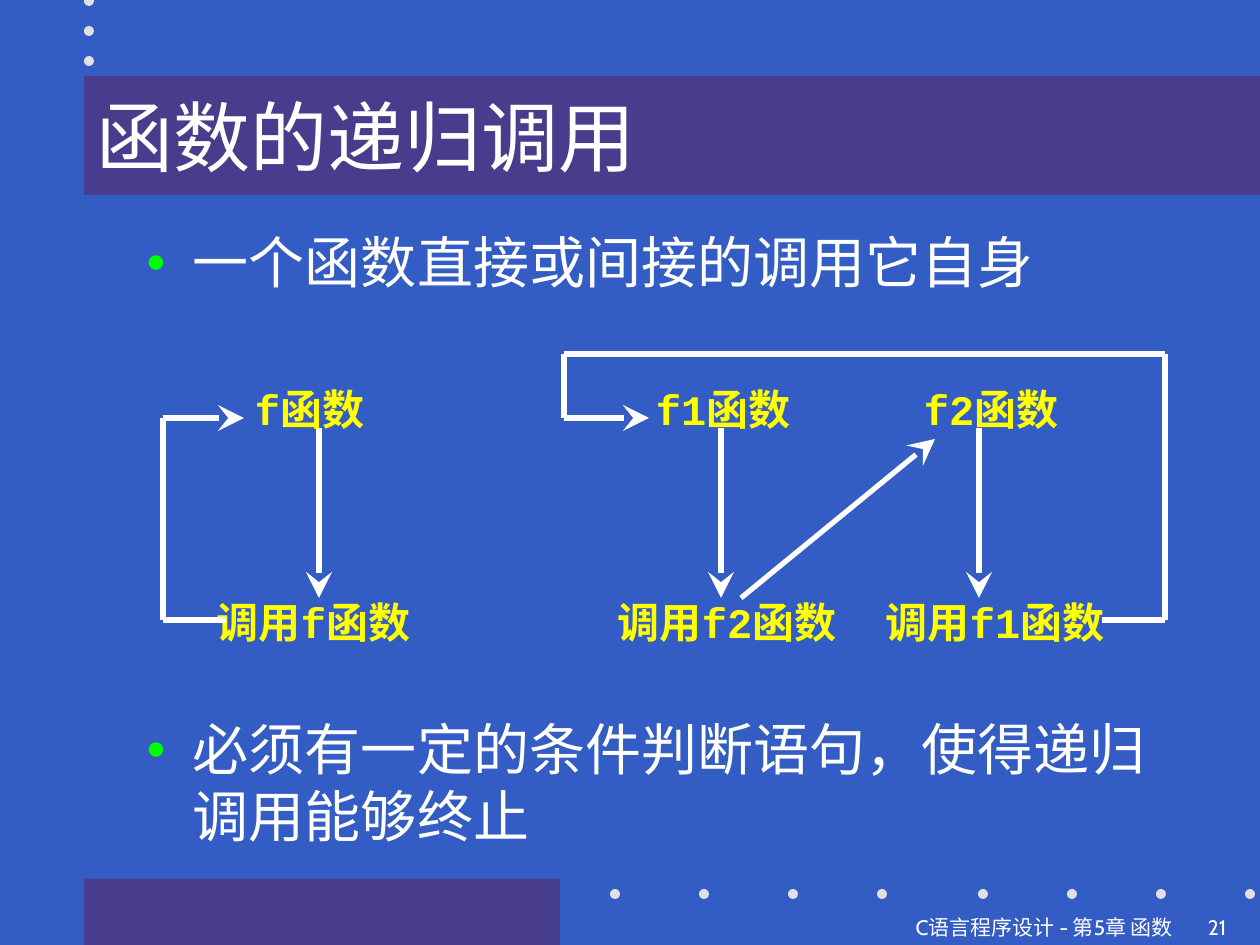
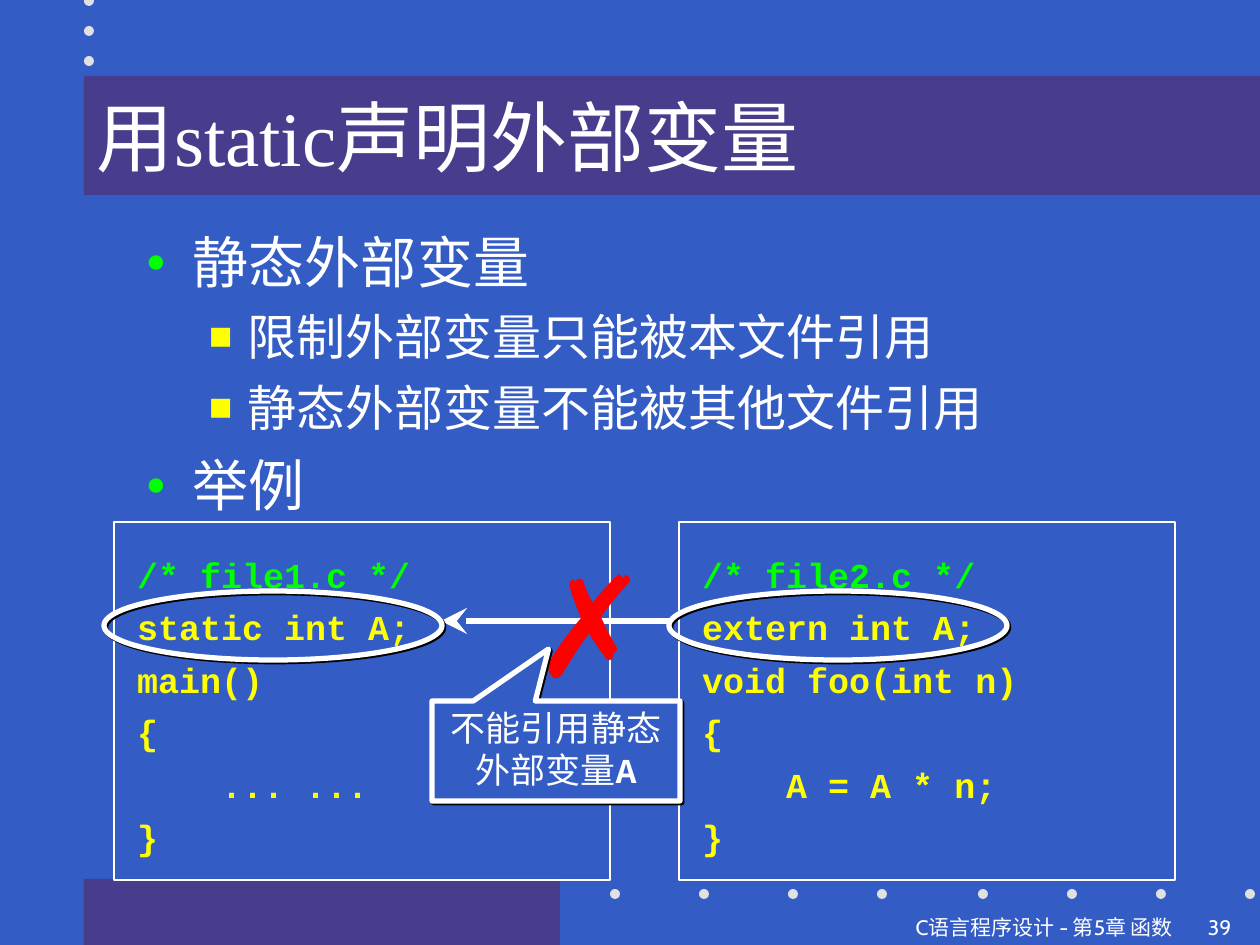
from dataclasses import dataclass
from itertools import pairwise

from lxml.etree import SubElement
from pptx import Presentation
from pptx.dml.color import RGBColor
from pptx.enum.shapes import MSO_CONNECTOR as Link, MSO_SHAPE as Form
from pptx.enum.text import MSO_ANCHOR as Anchor, PP_ALIGN as Align
from pptx.oxml.ns import qn
from pptx.util import Emu, Pt


@dataclass(frozen=True)
class Theme:
    back: str = "335CC5"
    band: str = "473D8C"
    dot: str = "E1E1E1"
    white: str = "FFFFFF"
    yellow: str = "FFFF00"
    green: str = "00FF00"
    red: str = "FF0000"
    black: str = "000000"
    serif: str = "Times New Roman"
    mono: str = "Courier New"
    sans: str = "Arial"
    small: str = "Cabin"
    title: int = 44
    label: int = 24
    code: int = 20
    footer: int = 12
    cross: int = 80
    stroke: float = 3
    frame: float = 1.5


theme = Theme()
EMU_PER_PX = 914400 / 126

# Shared content
FOOTER = "C语言程序设计 - 第5章 函数"
TITLE_BAND = (84, 76, 1176, 119)
FOOT_BAND = (84, 879, 476, 66)
DOT_SIZE = 10
DOTS = [(84, -4 + 30 * i) for i in range(3)]
DOTS += [(start + 89 * i, 889) for start in (610, 978) for i in range(4)]
BODY = (133, 221, 1063, 659)

# Bullet levels: size, space before, margin, hang, mark, mark colour, mark percent
LEVELS = [
    (32, 8, 47, 47, "●", theme.green, 60),
    (28, 7, 102, 39, "■", theme.yellow, 80),
]

# Recursion slide: bullets are (level, text, space before or None)
RECURSION_TITLE, RECURSION_PAGE = "函数的递归调用", "21"
RECURSION_BULLETS = [
    (0, "一个函数直接或间接的调用它自身", None),
    (0, "必须有一定的条件判断语句，使得递归调用能够终止", 240),
]
LABEL_HEIGHT, DEFINED_TOP, CALLED_TOP = 63, 378, 591
DEFINED_WIDTH, CALLED_WIDTH = 200, 300
ARROW_TOP, ARROW_BOTTOM = 428, 598
# name, defined left, callee, call left, arrow x
FUNCTIONS = [
    ("f", 242, "f", 204, 319),
    ("f1", 643, "f2", 605, 721),
    ("f2", 911, "f1", 873, 979),
]
CALL_BACKS = [
    [(226, 620), (163, 620), (163, 418), (244, 418)],
    [(741, 598), (935, 439)],
    [(1102, 620), (1165, 620), (1165, 354), (564, 354), (564, 418), (649, 418)],
]

# Static variable slide
STATIC_TITLE, STATIC_PAGE = "用static声明外部变量", "39"
STATIC_BULLETS = [
    (0, "静态外部变量", None),
    (1, "限制外部变量只能被本文件引用", None),
    (1, "静态外部变量不能被其他文件引用", None),
    (0, "举例", None),
]
FILES = [
    ["/* file1.c */", "static int A;", "main()", "{", "    ... ...", "}"],
    ["/* file2.c */", "extern int A;", "void foo(int n)", "{", "    A = A * n;", "}"],
]
FILE_BOX, FILE_STEP = (114, 522, 496, 358), 565
RING = (104, 591, 338, 69)
REFERENCE = [(669, 621), (441, 621)]
CROSS = (520, 532, 129, 181)
CALLOUT, CALLOUT_TIP = (432, 701, 248, 100), (-0.03, -1.02)


def px(value):
    return Emu(round(value * EMU_PER_PX))


def rgb(value):
    return RGBColor.from_string(value)


# Text helpers
def style(font, face, size, color, bold=False):
    font.name, font.size, font.bold = face, Pt(size), bold
    font.color.rgb = rgb(color)


def add_spans(para, spans, size, color, bold=False):
    for text, face in spans:
        span = para.add_run()
        span.text = text
        style(span.font, face, size, color, bold)


def set_insets(frame, x=13, y=6):
    frame.margin_left = frame.margin_right = px(x)
    frame.margin_top = frame.margin_bottom = px(y)


def add_text(slide, place, text=""):
    box = slide.shapes.add_textbox(*map(px, place))
    frame = box.text_frame
    frame.word_wrap = True
    set_insets(frame)
    frame.text = text
    return frame


def add_bullets(slide, bullets):
    frame = add_text(slide, BODY)
    for index, (level, text, gap) in enumerate(bullets):
        size, before, margin, hang, mark, color, percent = LEVELS[level]
        para = frame.add_paragraph() if index else frame.paragraphs[0]
        para.text = text
        para.level = level
        props = para._p.get_or_add_pPr()
        props.set("marL", str(px(margin)))
        props.set("indent", str(px(-hang)))
        SubElement(SubElement(props, qn("a:buClr")), qn("a:srgbClr"), val=color)
        SubElement(props, qn("a:buSzPct"), val=str(percent * 1000))
        SubElement(props, qn("a:buFont"), typeface=theme.sans)
        SubElement(props, qn("a:buChar"), char=mark)
        if index:
            para.space_before = Pt(gap or before)
        style(para.runs[0].font, theme.serif, size, theme.white)


# Drawing helpers
def add_form(slide, form, place, fill=None, line=None, width=theme.stroke, shadow=False):
    shape = slide.shapes.add_shape(form, *map(px, place))
    shape.shadow.inherit = False
    if fill:
        shape.fill.solid()
        shape.fill.fore_color.rgb = rgb(fill)
    else:
        shape.fill.background()
    if line:
        shape.line.color.rgb = rgb(line)
        shape.line.width = Pt(width)
    else:
        shape.line.fill.background()
    if shadow:
        effects = shape._element.spPr.find(qn("a:effectLst"))
        cast = SubElement(effects, qn("a:outerShdw"), dist=str(Pt(1.4)),
                          dir="2700000", algn="ctr", rotWithShape="0")
        SubElement(cast, qn("a:srgbClr"), val=theme.black)
    set_insets(shape.text_frame)
    return shape


def add_route(slide, points):
    """Straight segments through the points, with an arrowhead on the last."""
    for start, end in pairwise(points):
        segment = slide.shapes.add_connector(Link.STRAIGHT, *map(px, start + end))
        segment.line.color.rgb = rgb(theme.white)
        segment.line.width = Pt(theme.stroke)
        SubElement(segment._element.spPr, qn("a:effectLst"))
    SubElement(segment.line._get_or_add_ln(), qn("a:tailEnd"),
               type="stealth", w="lg", len="lg")


def add_label(slide, left, top, width, spans):
    frame = add_text(slide, (left, top, width, LABEL_HEIGHT))
    add_spans(frame.paragraphs[0], spans, theme.label, theme.yellow, bold=True)


# Frame shared by the slides
def add_page(deck, title, number, bullets):
    slide = deck.slides.add_slide(deck.slide_layouts[6])
    add_form(slide, Form.RECTANGLE, FOOT_BAND, theme.band)
    for x, y in DOTS:
        add_form(slide, Form.OVAL, (x, y, DOT_SIZE, DOT_SIZE), theme.dot)

    band = add_form(slide, Form.RECTANGLE, TITLE_BAND, theme.band)
    frame = band.text_frame
    frame.text = title
    frame.word_wrap = True
    frame.vertical_anchor = Anchor.MIDDLE
    frame.paragraphs[0].alignment = Align.LEFT
    style(frame.paragraphs[0].runs[0].font, theme.serif, theme.title, theme.white)

    for text, left, width, align in ((FOOTER, 0, 1186, Align.RIGHT),
                                     (number, 1195, 65, Align.LEFT)):
        para = add_text(slide, (left, 909, width, 36), text).paragraphs[0]
        para.alignment = align
        style(para.runs[0].font, theme.small, theme.footer, theme.white)
    add_bullets(slide, bullets)
    return slide


def build_recursion(deck):
    slide = add_page(deck, RECURSION_TITLE, RECURSION_PAGE, RECURSION_BULLETS)
    noun = ("函数", theme.serif)
    for name, defined_left, callee, call_left, x in FUNCTIONS:
        add_route(slide, [(x, ARROW_TOP), (x, ARROW_BOTTOM)])
        add_label(slide, defined_left, DEFINED_TOP, DEFINED_WIDTH,
                  [(name, theme.mono), noun])
        add_label(slide, call_left, CALLED_TOP, CALLED_WIDTH,
                  [("调用", theme.serif), (callee, theme.mono), noun])
    for points in CALL_BACKS:
        add_route(slide, points)


def build_static(deck):
    slide = add_page(deck, STATIC_TITLE, STATIC_PAGE, STATIC_BULLETS)

    # Source files side by side
    left, top, width, height = FILE_BOX
    for column, lines in enumerate(FILES):
        box = add_form(slide, Form.RECTANGLE, (left + column * FILE_STEP, top, width, height),
                       line=theme.white, width=theme.frame)
        frame = box.text_frame
        frame.word_wrap = True
        frame.vertical_anchor = Anchor.TOP
        set_insets(frame, 23, 21)
        frame.text = "\n".join(lines)
        for row, para in enumerate(frame.paragraphs):
            para.alignment = Align.LEFT
            para.line_spacing = 1.25
            color = theme.yellow if row else theme.green
            style(para.runs[0].font, theme.mono, theme.code, color, bold=True)

    # Rings around the declarations, and the forbidden reference
    add_route(slide, REFERENCE)
    left, top, width, height = RING
    for column in range(len(FILES)):
        add_form(slide, Form.OVAL, (left + column * FILE_STEP, top, width, height),
                 line=theme.white, shadow=True)
    para = add_text(slide, CROSS, "✗").paragraphs[0]
    para.alignment = Align.CENTER
    style(para.runs[0].font, theme.sans, theme.cross, theme.red, bold=True)

    # Explanation
    callout = add_form(slide, Form.RECTANGULAR_CALLOUT, CALLOUT, theme.back,
                       theme.white, shadow=True)
    for index, value in enumerate(CALLOUT_TIP):
        callout.adjustments[index] = value
    frame = callout.text_frame
    frame.word_wrap = True
    frame.vertical_anchor = Anchor.TOP
    frame.text = "不能引用静态\n外部变量"
    for para in frame.paragraphs:
        para.alignment = Align.CENTER
        style(para.runs[0].font, theme.sans, theme.code, theme.white)
    add_spans(frame.paragraphs[1], [("A", theme.mono)], theme.code, theme.white, bold=True)


def main():
    deck = Presentation()
    deck.slide_width, deck.slide_height = px(1260), px(945)
    fill = deck.slide_master.background.fill
    fill.solid()
    fill.fore_color.rgb = rgb(theme.back)
    build_recursion(deck)
    build_static(deck)
    deck.save("out.pptx")


if __name__ == "__main__":
    main()
